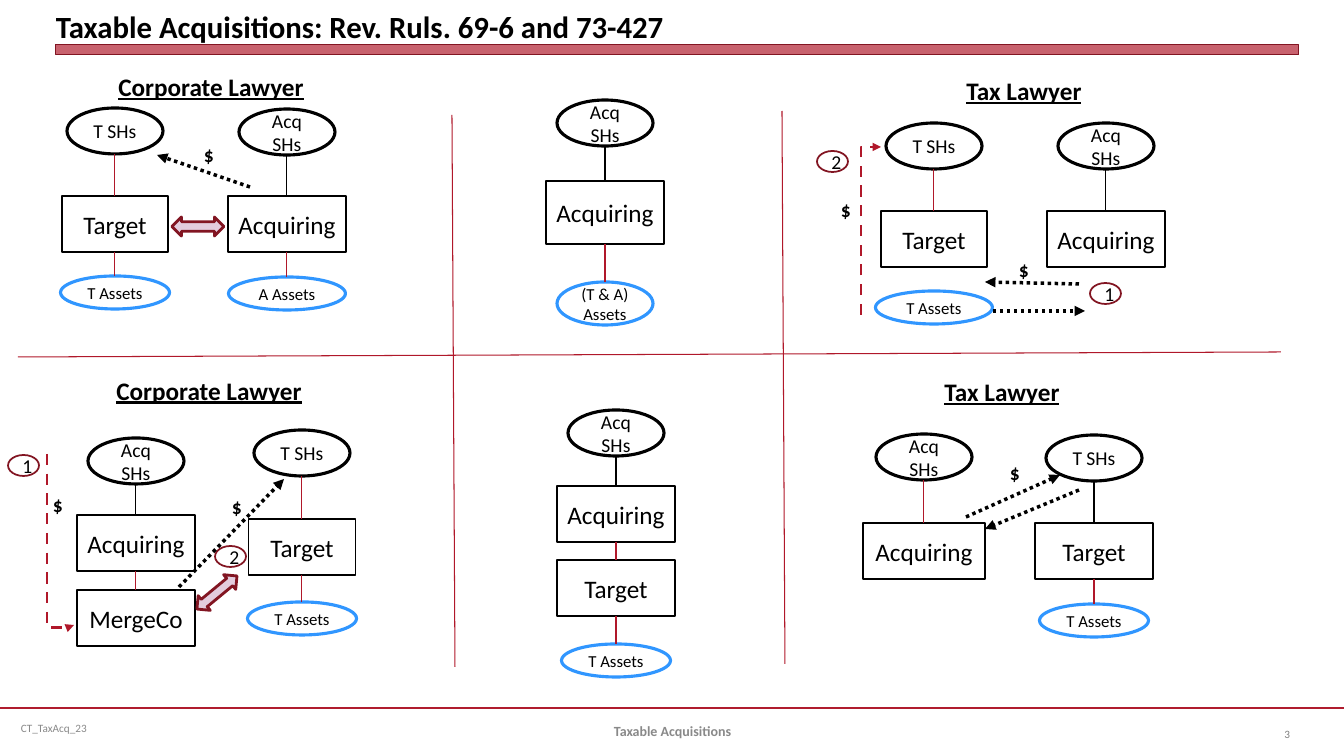
from lxml import etree
from pptx import Presentation
from pptx import util as u
from pptx.dml.color import RGBColor
from pptx.enum import dml, shapes, text
from pptx.oxml import ns

BLACK = RGBColor(0x00, 0x00, 0x00)
WHITE = RGBColor(0xFF, 0xFF, 0xFF)
RED = RGBColor(0xB0, 0x18, 0x2A)
RULE_RED = RGBColor(0xB0, 0x1C, 0x2E)
DARK_RED = RGBColor(0x82, 0x15, 0x22)
BLUE = RGBColor(0x30, 0x96, 0xFF)
PINK = RGBColor(0xE3, 0xCC, 0xDD)
GREY = RGBColor(0x89, 0x89, 0x89)
PAGE_GREY = RGBColor(0x80, 0x80, 0x80)

SHAPE = shapes.MSO_SHAPE
ALIGN = text.PP_ALIGN
DOTS, DASHES = dml.MSO_LINE.ROUND_DOT, dml.MSO_LINE.DASH
SINGLE_LINE = ("T SHs", "T Assets", "A Assets")
KINDS = {
    "holders": (SHAPE.OVAL, 96, 46, 14, BLACK, 2.25),
    "company": (SHAPE.RECTANGLE, 118, 56, 18, BLACK, 1),
    "assets": (SHAPE.OVAL, 109, 33, 12, BLUE, 2.25),
}


def px(length):
    """Turn pixels into EMU at 100.8 pixels to the inch."""
    return u.Emu(round(length * 914400 / 100.8))


def add_xml(parent, tag, **attributes):
    """Append a DrawingML element."""
    return etree.SubElement(parent, ns.qn(tag), attributes)


def write(frame, words, size, color=BLACK, bold=False, underline=False,
          align=ALIGN.CENTER, anchor=text.MSO_ANCHOR.MIDDLE, wrap=True):
    """Write one paragraph per line of words into a text frame."""
    frame.word_wrap = wrap
    frame.vertical_anchor = anchor
    for index, line in enumerate(words.split("\n")):
        paragraph = frame.add_paragraph() if index else frame.paragraphs[0]
        paragraph.alignment = align
        run = paragraph.add_run()
        run.text = line
        run.font.name, run.font.size = "Calibri", u.Pt(size)
        run.font.bold, run.font.underline = bold, underline
        run.font.color.rgb = color


def label(slide, box, words, size, **style):
    """Add a text box."""
    frame = slide.shapes.add_textbox(*map(px, box)).text_frame
    write(frame, words, size, **style)


def outline(slide, preset, box, color, width, fill=None):
    """Add a preset shape with a plain outline and optional fill."""
    shape = slide.shapes.add_shape(preset, *map(px, box))
    shape.shadow.inherit = False
    shape.line.color.rgb, shape.line.width = color, u.Pt(width)
    if fill is None:
        shape.fill.background()
    else:
        shape.fill.solid()
        shape.fill.fore_color.rgb = fill
    return shape


def connect(slide, start, end, color=RED, width=0.75, dash=None, arrow=False,
            kind=shapes.MSO_CONNECTOR.STRAIGHT):
    """Add a connector, with an arrowhead at its end on request."""
    connector = slide.shapes.add_connector(kind, *map(px, (*start, *end)))
    connector.line.color.rgb, connector.line.width = color, u.Pt(width)
    if dash is not None:
        connector.line.dash_style = dash
    properties = connector._element.spPr
    if arrow:
        add_xml(properties.find(ns.qn("a:ln")), "a:tailEnd", type="triangle")
    add_xml(properties, "a:effectLst")
    return connector


def payment(slide, start, end):
    """Add a dotted black arrow."""
    connect(slide, start, end, BLACK, 2.5, DOTS, True)


def elbow(slide, start, end, degrees, preset, bend=None):
    """Add a turned, dashed red elbow arrow."""
    route = connect(slide, start, end, RED, 2, DASHES, True,
                    shapes.MSO_CONNECTOR.ELBOW)
    properties = route._element.spPr
    properties.find(ns.qn("a:xfrm")).set("rot", str(degrees * 60000))
    geometry = properties.find(ns.qn("a:prstGeom"))
    geometry.set("prst", preset)
    if bend:
        guides = geometry.find(ns.qn("a:avLst"))
        add_xml(guides, "a:gd", name="adj1", fmla=f"val {bend}")


def dollar(slide, left, top):
    """Add a bold dollar sign."""
    label(slide, (left, top, 30, 34), "$", 14, bold=True, wrap=False,
          align=ALIGN.LEFT, anchor=text.MSO_ANCHOR.TOP)


def step(slide, left, top, number):
    """Add a numbered step marker."""
    marker = outline(slide, SHAPE.OVAL, (left, top, 31, 21), DARK_RED, 1.25, WHITE)
    write(marker.text_frame, number, 14)


def merger(slide, left, top, degrees=0):
    """Add a two-headed block arrow."""
    arrow = outline(slide, SHAPE.LEFT_RIGHT_ARROW, (left, top, 52, 19), DARK_RED, 2, PINK)
    arrow.rotation = degrees


def heading(slide, center, top, words):
    """Add an underlined panel heading around a centre."""
    label(slide, (center - 104, top, 208, 40), words, 18, bold=True,
          underline=True, wrap=False, anchor=text.MSO_ANCHOR.TOP)


def ownership(slide, center, top, parts, links):
    """Stack parts (kind, words, offset, size) on a centre line and link them."""
    spans = []
    for kind, words, offset, *size in parts:
        preset, width, height, points, color, weight = KINDS[kind]
        if size:
            width, height = size
        box = (center - width / 2, top + offset, width, height)
        shape = outline(slide, preset, box, color, weight)
        write(shape.text_frame, words, points, wrap=words not in SINGLE_LINE)
        spans.append((top + offset, top + offset + height))
    for (_, upper), (lower, _), color in zip(spans, spans[1:], links):
        connect(slide, (center, upper), (center, lower), color)


def stock_purchase(slide, x, y):
    """Corporate view of the direct merger."""
    heading(slide, x + 211, y + 6, "Corporate Lawyer")
    ownership(slide, x + 115, y, [("holders", "T SHs", 48), ("company", "Target", 136, 106, 56),
                                  ("assets", "T Assets", 216)], (RED, RED))
    ownership(slide, x + 287, y, [("holders", "Acq SHs", 49), ("company", "Acquiring", 136),
                                  ("assets", "A Assets", 217, 117, 33)], (BLACK, RED))
    payment(slide, (x + 250, y + 127), (x + 157, y + 95))
    dollar(slide, x + 194, y + 78)
    merger(slide, x + 172, y + 157)


def combined_result(slide, x, y):
    """Result of the direct merger."""
    ownership(slide, x + 150, y, [("holders", "Acq\nSHs", 40), ("company", "Acquiring", 121, 118, 63),
                                  ("assets", "(T & A) Assets", 222, 96, 43)], (BLACK, RED))


def asset_sale(slide, x, y):
    """Tax view of the direct merger."""
    heading(slide, x + 237, y + 10, "Tax Lawyer")
    ownership(slide, x + 147, y, [("holders", "T SHs", 63), ("company", "Target", 151, 106, 56),
                                  ("assets", "T Assets", 231, 117, 33)], (RED,))
    ownership(slide, x + 319, y, [("holders", "Acq SHs", 63), ("company", "Acquiring", 151)], (BLACK,))
    payment(slide, (x + 206, y + 251), (x + 298, y + 251))
    payment(slide, (x + 292, y + 224), (x + 198, y + 222))
    elbow(slide, (x + 168, y + 181), (x, y + 161), 90, "bentConnector2")
    step(slide, x + 303, y + 223, "1")
    step(slide, x + 30, y + 91, "2")
    dollar(slide, x + 222, y + 193)
    dollar(slide, x + 44, y + 133)


def reverse_merger(slide, x, y):
    """Corporate view of the reverse subsidiary merger."""
    heading(slide, x + 209, y + 10, "Corporate Lawyer")
    ownership(slide, x + 136, y, [("holders", "Acq SHs", 78), ("company", "Acquiring", 155),
                                  ("company", "MergeCo", 230)], (BLACK, RED))
    ownership(slide, x + 302, y, [("holders", "T SHs", 70), ("company", "Target", 159, 107, 56),
                                  ("assets", "T Assets", 242)], (RED, RED))
    elbow(slide, (x + 146, y + 166), (x - 25, y + 193), 270, "bentConnector3", 101400)
    dollar(slide, x + 43, y + 128)
    dollar(slide, x + 222, y + 130)
    step(slide, x + 8, y + 95, "1")
    step(slide, x + 215, y + 186, "2")
    merger(slide, x + 191, y + 223, 320.5)
    payment(slide, (x + 179, y + 227), (x + 284, y + 119))


def subsidiary_result(slide, x, y):
    """Result of the reverse subsidiary merger."""
    ownership(slide, x + 161, y, [("holders", "Acq SHs", 50), ("company", "Acquiring", 126),
                                  ("company", "Target", 200), ("assets", "T Assets", 284)],
              (BLACK, RED, RED))


def stock_sale(slide, x, y):
    """Tax view of the reverse subsidiary merger."""
    heading(slide, x + 215, y + 11, "Tax Lawyer")
    ownership(slide, x + 137, y, [("holders", "Acq SHs", 74), ("company", "Acquiring", 163, 122, 56)], (RED,))
    ownership(slide, x + 307, y, [("holders", "T SHs", 75), ("company", "Target", 163),
                                  ("assets", "T Assets", 244)], (BLACK, RED))
    payment(slide, (x + 179, y + 157), (x + 273, y + 115))
    payment(slide, (x + 292, y + 130), (x + 198, y + 169))
    dollar(slide, x + 213, y + 96)


def page_frame(slide, width):
    """Place the title, its bar, the panel dividers and the footer."""
    title = slide.shapes.title
    title.left, title.top, title.width, title.height = map(px, (56, 5, 1243, 40))
    frame = title.text_frame
    frame.margin_left = frame.margin_right = frame.margin_top = frame.margin_bottom = 0
    write(frame, "Taxable Acquisitions: Rev. Ruls. 69-6 and 73-427", 22, bold=True,
          align=ALIGN.LEFT, anchor=text.MSO_ANCHOR.BOTTOM)
    bar = outline(slide, SHAPE.RECTANGLE, (56, 45, 1243, 10), DARK_RED, 0, RULE_RED)
    tint = bar._element.spPr.find(ns.qn("a:solidFill"))[0]
    add_xml(tint, "a:alpha", val="69000")
    for start, end in (((18, 357), (1281, 352)), ((452, 115), (455, 667)), ((782, 111), (785, 664))):
        connect(slide, start, end)
    connect(slide, (0, 708), (width, 708), RULE_RED, 1.25)
    label(slide, (11, 708, 347, 40), "CT_TaxAcq_23", 8, color=GREY, align=ALIGN.LEFT)
    label(slide, (460, 711, 425, 40), "Taxable Acquisitions", 10, color=GREY, bold=True)
    label(slide, (1233, 714, 67, 40), "3", 8, color=PAGE_GREY, align=ALIGN.RIGHT)


deck = Presentation()
deck.slide_width, deck.slide_height = px(1344), px(756)
page = deck.slides.add_slide(deck.slide_layouts[5])
page_frame(page, 1344)
PANELS = ((stock_purchase, combined_result, asset_sale),
          (reverse_merger, subsidiary_result, stock_sale))
for panel_top, row in zip((60, 360), PANELS):
    for panel_left, panel in zip((0, 455, 787), row):
        panel(page, panel_left, panel_top)
deck.save("out.pptx")
